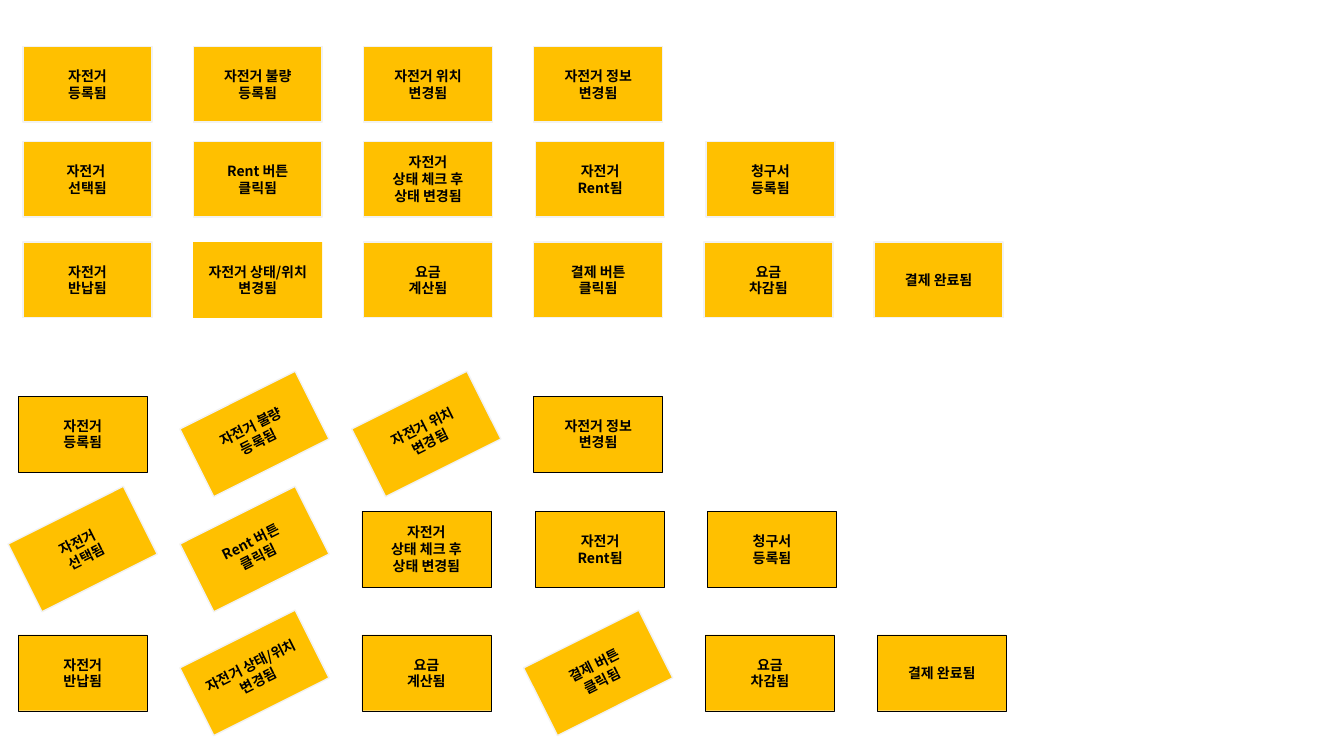
from dataclasses import dataclass

from lxml import etree
from pptx import Presentation
from pptx.dml.color import RGBColor
from pptx.enum.shapes import MSO_SHAPE
from pptx.enum.text import MSO_ANCHOR, PP_ALIGN
from pptx.oxml.ns import qn
from pptx.util import Cm, Pt

RECTANGLE = MSO_SHAPE.RECTANGLE
MIDDLE = MSO_ANCHOR.MIDDLE
CENTER = PP_ALIGN.CENTER

COLORS = {"note": "FFC000", "soft": "F2F2F2", "ink": "000000"}
FONT = "Noto Sans CJK KR"
NOTE_WIDTH, NOTE_HEIGHT = 3.25, 1.91
TILT = 333.4
RENT_SHIFT = 0.05  # the rental row moves right from its fourth note on

# Domain events by row: registration, rental, return
EVENTS = [
    ["자전거\n등록됨", "자전거 불량\n등록됨", "자전거 위치\n변경됨", "자전거 정보\n변경됨"],
    ["자전거 \n선택됨", "Rent 버튼\n클릭됨", "자전거\n상태 체크 후\n상태 변경됨",
     "자전거\nRent됨", "청구서\n등록됨"],
    ["자전거\n반납됨", "자전거 상태/위치 변경됨", "요금\n계산됨", "결제 버튼\n클릭됨",
     "요금\n차감됨", "결제 완료됨"],
]
RENT_ROW = 1
UNLINED = (2, 1)
DISCARDED = {(0, 1), (0, 2), (1, 0), (1, 1), (2, 1), (2, 3)}


@dataclass
class Board:
    left: float
    pitch: float
    tops: tuple[float, ...]
    sorted_out: bool


@dataclass
class Note:
    text: str
    left: float
    top: float
    outline: str | None
    outline_width: float
    rotation: float


BOARDS = [
    Board(0.58, 4.29, (1.17, 3.56, 6.1), sorted_out=False),
    Board(0.46, 4.33, (9.98, 12.88, 16), sorted_out=True),
]


def rgb(name: str) -> RGBColor:
    return RGBColor.from_string(COLORS[name])


def write_text(frame, text: str, *, size: float, color: str, bold: bool) -> None:
    frame.word_wrap = True
    frame.vertical_anchor = MIDDLE
    for index, line in enumerate(text.split("\n")):
        paragraph = frame.add_paragraph() if index else frame.paragraphs[0]
        paragraph.alignment = CENTER
        run = paragraph.add_run()
        run.text = line
        run.font.size = Pt(size)
        run.font.bold = bold
        run.font.color.rgb = rgb(color)
        run.font.name = FONT
        # Korean letters take the East Asian font
        etree.SubElement(run.font._element, qn("a:ea"), typeface=FONT)


def draw_note(slide, note: Note) -> None:
    card = slide.shapes.add_shape(RECTANGLE, Cm(note.left), Cm(note.top),
                                  Cm(NOTE_WIDTH), Cm(NOTE_HEIGHT))
    card.shadow.inherit = False
    card.rotation = note.rotation
    card.fill.solid()
    card.fill.fore_color.rgb = rgb("note")
    if note.outline is None:
        card.line.fill.background()
    else:
        card.line.color.rgb = rgb(note.outline)
        card.line.width = Pt(note.outline_width)
    write_text(card.text_frame, note.text, size=10, color="ink", bold=True)


def board_notes(board: Board) -> list[Note]:
    notes = []
    for row, events in enumerate(EVENTS):
        for column, event in enumerate(events):
            left = board.left + column * board.pitch
            if row == RENT_ROW and column >= 3:
                left += RENT_SHIFT
            discarded = board.sorted_out and (row, column) in DISCARDED
            kept = board.sorted_out and not discarded
            outline = "ink" if kept else "soft"
            if not board.sorted_out and (row, column) == UNLINED:
                outline = None
            notes.append(Note(event, left, board.tops[row], outline,
                              0.25 if kept else 1, TILT if discarded else 0))
    return notes


def main() -> None:
    presentation = Presentation()
    presentation.slide_width, presentation.slide_height = Cm(33.87), Cm(19.05)
    slide = presentation.slides.add_slide(presentation.slide_layouts[6])

    # All events above, the sorted-out ones below
    for board in BOARDS:
        for note in board_notes(board):
            draw_note(slide, note)

    presentation.save("out.pptx")


if __name__ == "__main__":
    main()
